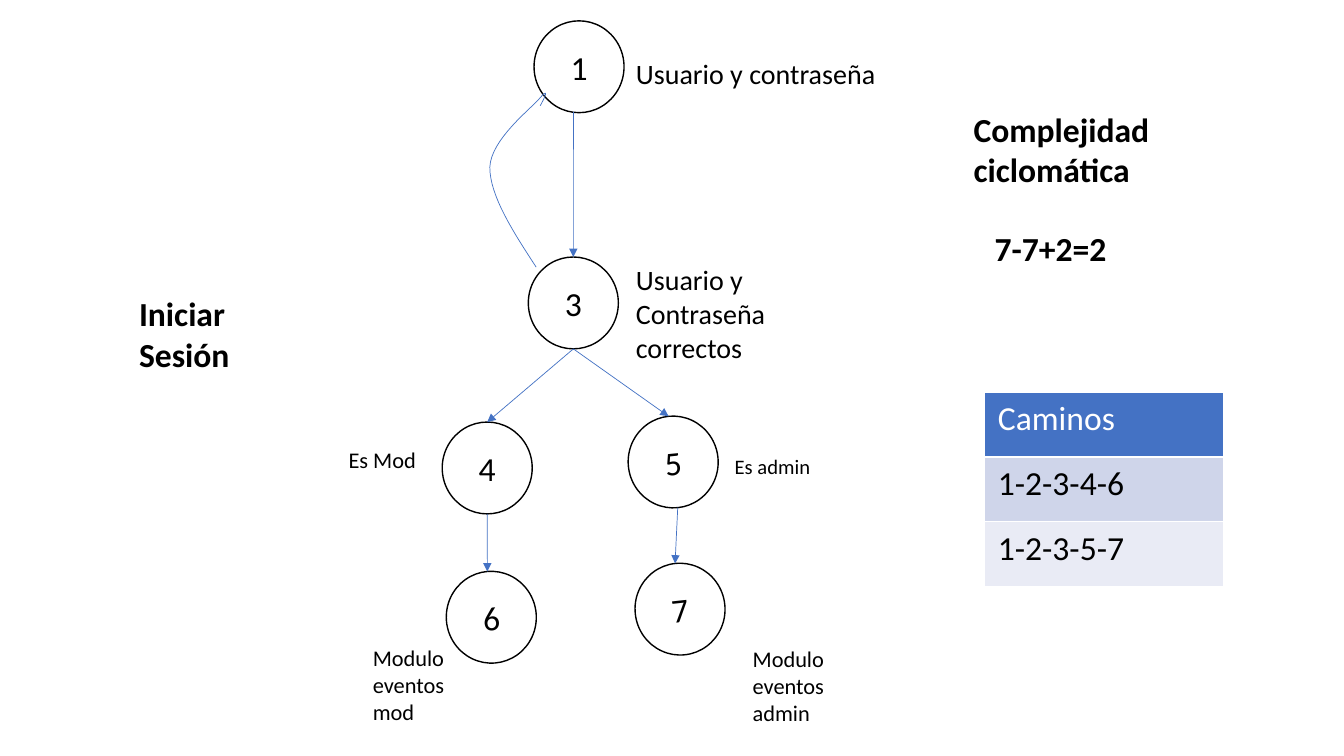
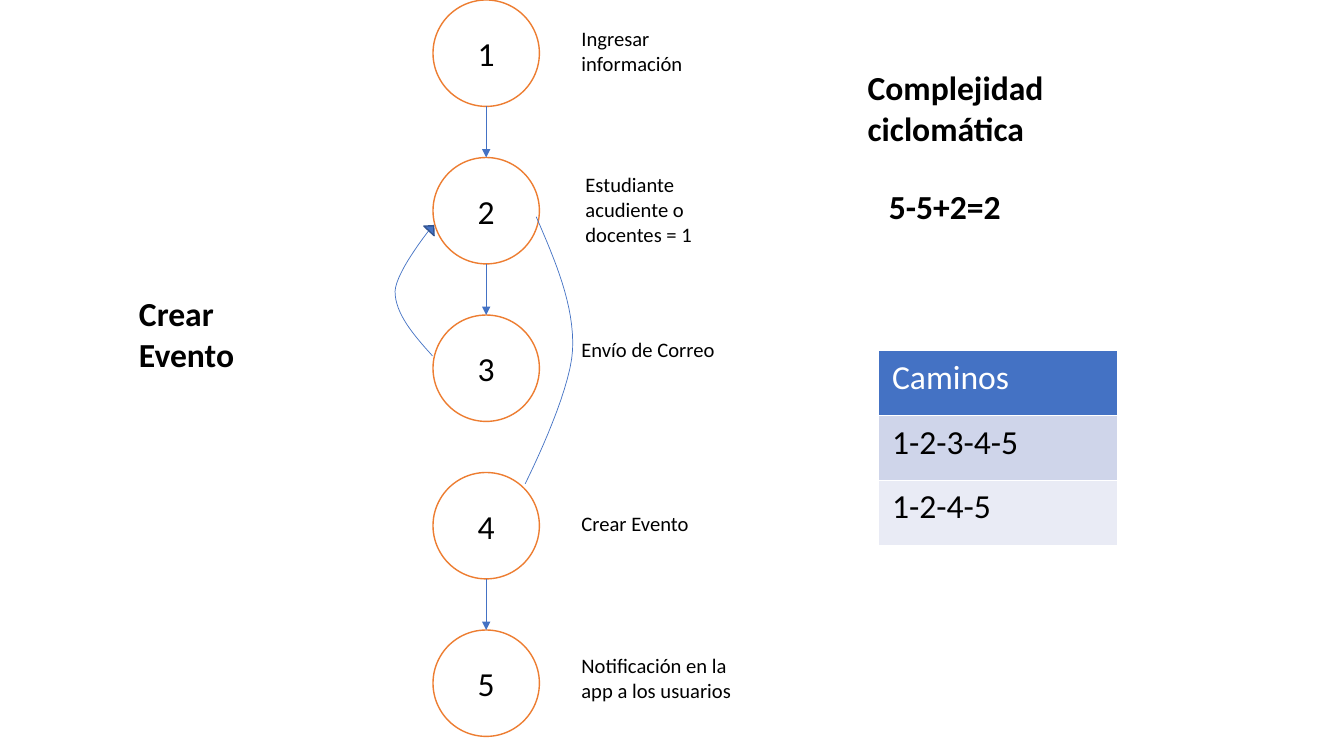
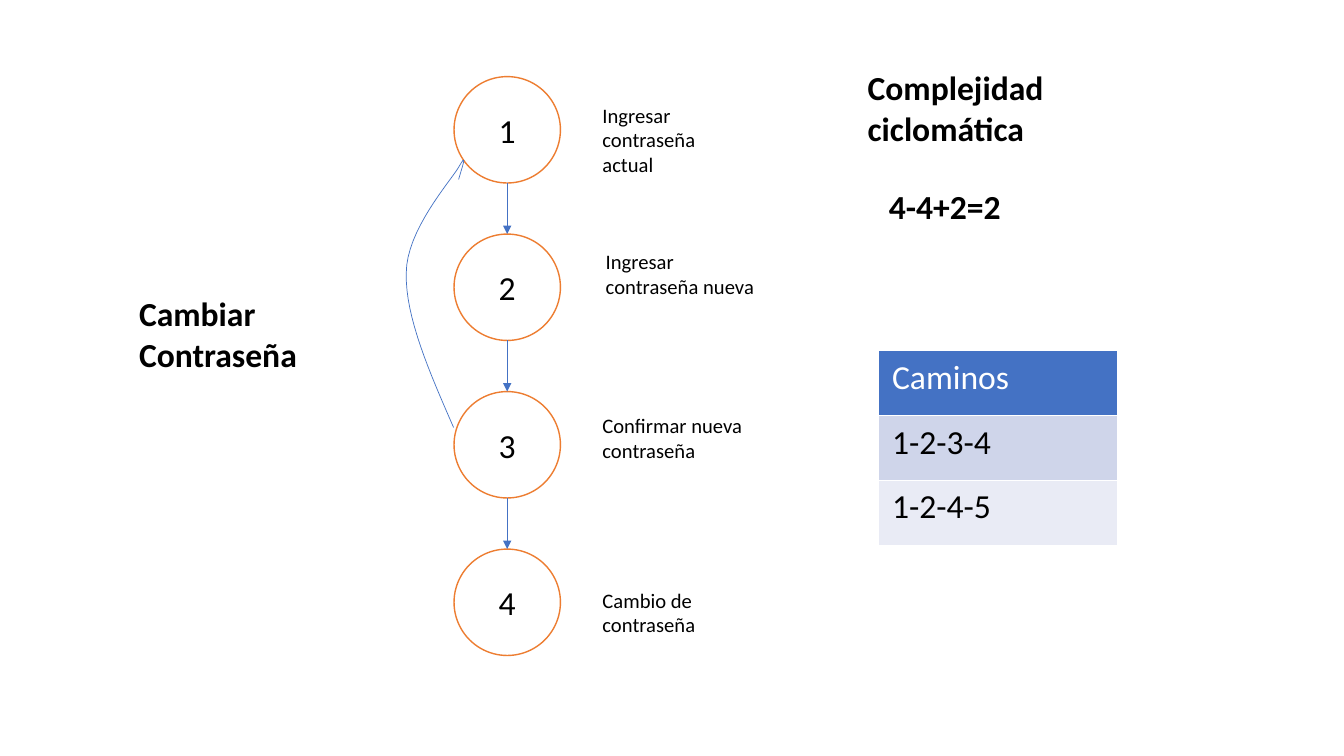
from dataclasses import dataclass
from math import cos, radians, sin

from lxml.etree import SubElement
from pptx import Presentation
from pptx.dml.color import RGBColor
from pptx.enum.shapes import MSO_CONNECTOR as Link, MSO_SHAPE as Preset
from pptx.enum.text import MSO_ANCHOR as Anchor, MSO_AUTO_SIZE as AutoSize, PP_ALIGN as Align
from pptx.oxml.ns import qn
from pptx.util import Pt

# Shared look; every length is in points
BLACK = RGBColor(0x00, 0x00, 0x00)
WHITE = RGBColor(0xFF, 0xFF, 0xFF)
BLUE = RGBColor(0x44, 0x72, 0xC4)
DARK_BLUE = RGBColor(0x32, 0x54, 0x91)
ORANGE = RGBColor(0xED, 0x7D, 0x31)
BAND_DARK = RGBColor(0xCF, 0xD5, 0xEA)
BAND_LIGHT = RGBColor(0xE9, 0xEB, 0xF5)
FONT = "Calibri"
HEADING, CAPTION = 24, 14.7
CURVE_STEPS = 16
CHAIN_DIAMETER, CHAIN_PITCH = 76, 112.5
PATH_WIDTH, PATH_ROW = 170.6, 46.3

Point = tuple[float, float]


@dataclass(frozen=True)
class Node:
    label: str
    left: float
    top: float
    width: float = 64.3
    height: float = 65.6
    rotation: float = 0
    outline: RGBColor = BLACK

    def pole(self, side: int) -> Point:
        """Top (-1) or bottom (1) of the circle after its rotation."""
        angle, reach = radians(self.rotation), side * self.height / 2
        return (self.left + self.width / 2 - reach * sin(angle),
                self.top + self.height / 2 + reach * cos(angle))


@dataclass(frozen=True)
class Arrow:
    source: str
    target: str
    start: Point | None = None


@dataclass(frozen=True)
class Caption:
    text: str
    left: float
    top: float
    width: float = 127.4
    lines: int = 1
    size: float = CAPTION
    bold: bool = False


@dataclass(frozen=True)
class Curve:
    start: Point
    beziers: tuple[tuple[Point, Point, Point], ...]


@dataclass(frozen=True)
class Flow:
    title: str
    nodes: tuple[Node, ...]
    arrows: tuple[Arrow, ...]
    captions: tuple[Caption, ...]
    curves: tuple[Curve, ...]
    formula: str
    paths: tuple[str, ...]
    panel: Point = (612.7, 44.6)
    arrowhead: Point | None = None


def chain(count: int, left: float, top: float) -> tuple[Node, ...]:
    return tuple(Node(str(i + 1), left, top + i * CHAIN_PITCH, CHAIN_DIAMETER,
                      CHAIN_DIAMETER, outline=ORANGE) for i in range(count))


# Content
FLOWS = (
    Flow(
        title="Iniciar\nSesión",
        nodes=(
            Node("1", 381.5, 14.9),
            Node("3", 377.4, 183.6),
            Node("4", 315.9, 301.5),
            Node("5", 448.7, 297.2, rotation=-5.7),
            Node("6", 318.8, 408.1, rotation=-4.9),
            Node("7", 453.6, 402.3, rotation=-6.2),
        ),
        arrows=(Arrow("1", "3", (409.6, 80)), Arrow("3", "4"), Arrow("3", "5"),
                Arrow("4", "6"), Arrow("5", "7")),
        captions=(
            Caption("Usuario y contraseña", 447.1, 36.7, 190, size=20),
            Caption("Usuario y Contraseña correctos", 447.1, 184.3, 118.8, 3, 20),
            Caption("Es Mod", 241.9, 315.4, 79.9, size=16),
            Caption("Es admin", 517.7, 320.4, 83.5),
            Caption("Modulo eventos mod", 259.2, 456.5, 95, 3, 16),
            Caption("Modulo eventos admin", 530.6, 457.2, 97.9, 3, 16),
        ),
        curves=(Curve((383, 190.8), (
            ((366.5, 165.6), (349.9, 139.7), (349.9, 119.5)),
            ((350.6, 99.4), (380.2, 77), (385.9, 69.8)),
            ((392.4, 62.6), (389.5, 69.1), (385.9, 75.6)))),),
        formula="7-7+2=2",
        paths=("1-2-3-4-6", "1-2-3-5-7"),
        panel=(688.3, 74.2),
    ),
    Flow(
        title="Crear Evento",
        nodes=chain(5, 309.3, 0),
        arrows=(Arrow("1", "2"), Arrow("2", "3"), Arrow("4", "5")),
        captions=(
            Caption("Ingresar información", 408.2, 15.1, 102.2, 2),
            Caption("Estudiante acudiente o docentes = 1", 411.1, 119.5, lines=3),
            Caption("Envío de Correo", 408.2, 237.2),
            Caption("Crear Evento", 408.2, 361.6),
            Caption("Notificación en la app a los usuarios", 408.2, 463, lines=2),
        ),
        curves=(
            Curve((308.9, 254.2), (
                ((295.2, 239), (282.2, 223.9), (282.2, 208.1)),
                ((283, 193), (309.6, 160.6), (309.6, 160.6)))),
            Curve((383, 154.8), (
                ((396.7, 186.5), (410.4, 218.2), (409, 249.8)),
                ((407.5, 281.5), (375.1, 345.6), (375.1, 345.6)))),
        ),
        formula="5-5+2=2",
        paths=("1-2-3-4-5", "1-2-4-5"),
        arrowhead=(303.1, 160.6),
    ),
    Flow(
        title="Cambiar\nContraseña",
        nodes=chain(4, 324.3, 54.7),
        arrows=(Arrow("1", "2"), Arrow("2", "3"), Arrow("3", "4")),
        captions=(
            Caption("Ingresar contraseña actual", 423.2, 69.8, 102.2, 3),
            Caption("Ingresar contraseña nueva", 425.6, 174.2, lines=2),
            Caption("Confirmar nueva contraseña", 423.2, 291.6, lines=2),
            Caption("Cambio de contraseña", 423.2, 416.2, lines=2),
        ),
        curves=(Curve((324, 305.3), (
            ((306.7, 265.7), (289.4, 226.1), (290.2, 195.1)),
            ((290.2, 164.9), (321.1, 130.3), (327.6, 119.5)),
            ((334.1, 108), (330.5, 118.1), (327.6, 128.2)))),),
        formula="4-4+2=2",
        paths=("1-2-3-4", "1-2-4-5"),
    ),
)


def style_text(frame, size: float, color: RGBColor = BLACK, bold: bool = False) -> None:
    for paragraph in frame.paragraphs:
        for run in paragraph.runs:
            run.font.name, run.font.size = FONT, Pt(size)
            run.font.bold, run.font.color.rgb = bold, color


def draw_caption(slide, caption: Caption) -> None:
    height = caption.lines * caption.size * 1.2 + 7.2
    box = slide.shapes.add_textbox(Pt(caption.left), Pt(caption.top),
                                   Pt(caption.width), Pt(height))
    frame = box.text_frame
    frame.word_wrap, frame.auto_size = True, AutoSize.SHAPE_TO_FIT_TEXT
    frame.text = caption.text
    style_text(frame, caption.size, bold=caption.bold)


def draw_node(slide, node: Node):
    circle = slide.shapes.add_shape(Preset.OVAL, Pt(node.left), Pt(node.top),
                                    Pt(node.width), Pt(node.height))
    circle.rotation = node.rotation
    circle.shadow.inherit = False
    circle.fill.solid()
    circle.fill.fore_color.rgb = WHITE
    circle.line.color.rgb, circle.line.width = node.outline, Pt(1)
    frame = circle.text_frame
    frame.vertical_anchor = Anchor.MIDDLE
    frame.text = node.label
    frame.paragraphs[0].alignment = Align.CENTER
    style_text(frame, HEADING)
    return circle


def draw_arrow(slide, start: Point, target: Node, circle) -> None:
    end = target.pole(-1)
    arrow = slide.shapes.add_connector(Link.STRAIGHT, *map(Pt, start + end))
    arrow.end_connect(circle, 0)
    arrow.end_x, arrow.end_y = map(Pt, end)
    arrow.line.color.rgb, arrow.line.width = BLUE, Pt(0.5)
    properties = arrow.element.spPr
    SubElement(properties.find(qn("a:ln")), qn("a:tailEnd"), type="triangle")
    SubElement(properties, qn("a:effectLst"))


def draw_curve(slide, curve: Curve) -> None:
    points, here = [], curve.start
    for first, second, end in curve.beziers:
        for step in range(1, CURVE_STEPS + 1):
            t = step / CURVE_STEPS
            u = 1 - t
            points.append(tuple(
                Pt(u**3 * a + 3 * u * u * t * b + 3 * u * t * t * c + t**3 * d)
                for a, b, c, d in zip(here, first, second, end)))
        here = end
    builder = slide.shapes.build_freeform(*map(Pt, curve.start))
    builder.add_line_segments(points, close=False)
    loop = builder.convert_to_shape()
    loop.shadow.inherit = False
    loop.fill.background()
    loop.line.color.rgb, loop.line.width = BLUE, Pt(0.5)


def draw_arrowhead(slide, corner: Point) -> None:
    head = slide.shapes.add_shape(Preset.ISOSCELES_TRIANGLE, *map(Pt, corner), Pt(10), Pt(5))
    head.rotation = 43
    head.shadow.inherit = False
    head.fill.solid()
    head.fill.fore_color.rgb = BLUE
    head.line.color.rgb, head.line.width = DARK_BLUE, Pt(1)


def draw_paths(slide, left: float, top: float, paths: tuple[str, ...]) -> None:
    rows = ("Caminos",) + paths
    table = slide.shapes.add_table(len(rows), 1, Pt(left), Pt(top), Pt(PATH_WIDTH),
                                   Pt(PATH_ROW * len(rows))).table
    for index, text in enumerate(rows):
        table.rows[index].height = Pt(PATH_ROW)
        cell = table.cell(index, 0)
        cell.margin_left = cell.margin_right = Pt(9.4)
        cell.margin_top = cell.margin_bottom = Pt(4.8)
        cell.fill.solid()
        cell.fill.fore_color.rgb = (BLUE, BAND_DARK, BAND_LIGHT)[index]
        cell.text_frame.text = text
        style_text(cell.text_frame, HEADING, BLACK if index else WHITE)


def draw_flow(slide, flow: Flow) -> None:
    # Flow graph
    nodes = {node.label: node for node in flow.nodes}
    circles = {node.label: draw_node(slide, node) for node in flow.nodes}
    for arrow in flow.arrows:
        start = arrow.start or nodes[arrow.source].pole(1)
        draw_arrow(slide, start, nodes[arrow.target], circles[arrow.target])
    for curve in flow.curves:
        draw_curve(slide, curve)
    if flow.arrowhead:
        draw_arrowhead(slide, flow.arrowhead)

    # Captions, title and complexity panel
    left, top = flow.panel
    headings = (
        Caption(flow.title, 92.2, 205.9, 152.6 if "\n" in flow.title else 127.4,
                2, HEADING, True),
        Caption("Complejidad ciclomática", left, top, PATH_WIDTH, 2, HEADING, True),
        Caption(flow.formula, left + 15.1, top + 85, PATH_WIDTH, 1, HEADING, True),
    )
    for caption in flow.captions + headings:
        draw_caption(slide, caption)
    draw_paths(slide, left + 15.1, top + 205.9, flow.paths)


def main() -> None:
    deck = Presentation()
    deck.slide_width, deck.slide_height = Pt(960), Pt(540)
    for flow in FLOWS:
        draw_flow(deck.slides.add_slide(deck.slide_layouts[6]), flow)
    deck.save("out.pptx")


if __name__ == "__main__":
    main()
